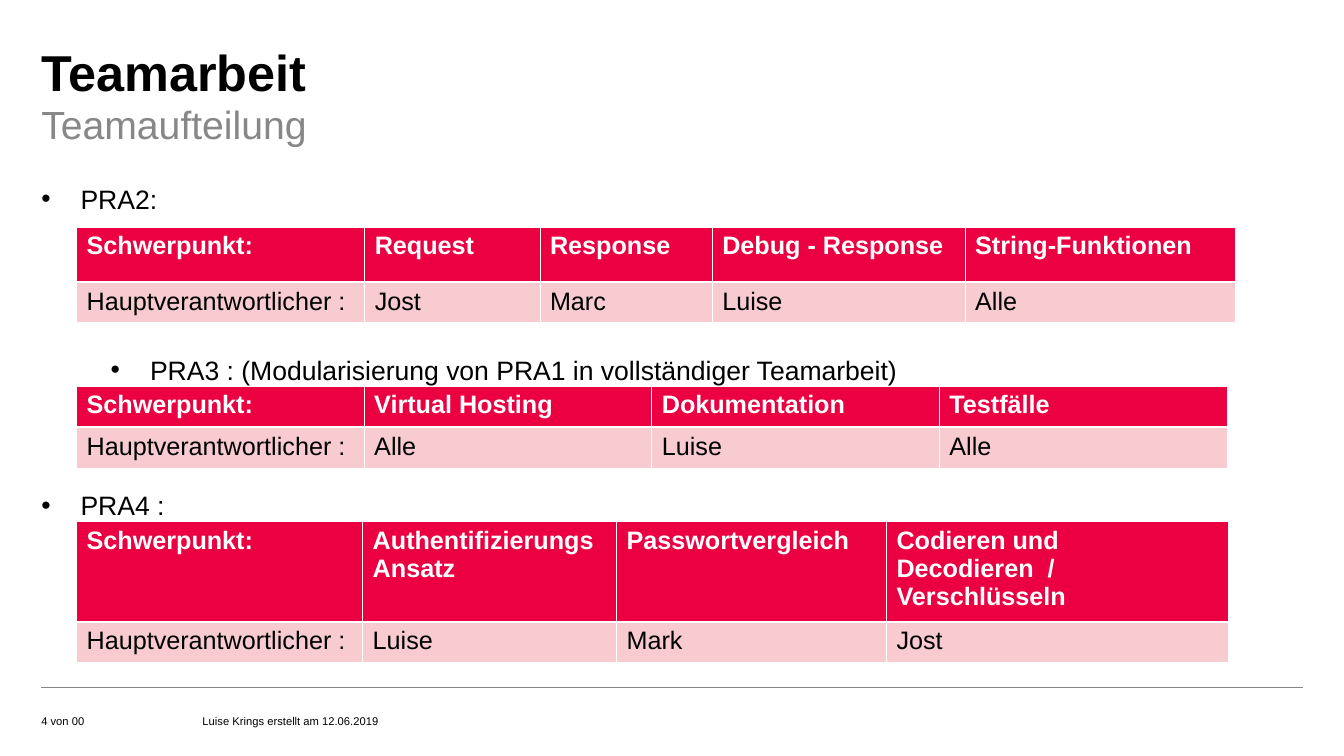
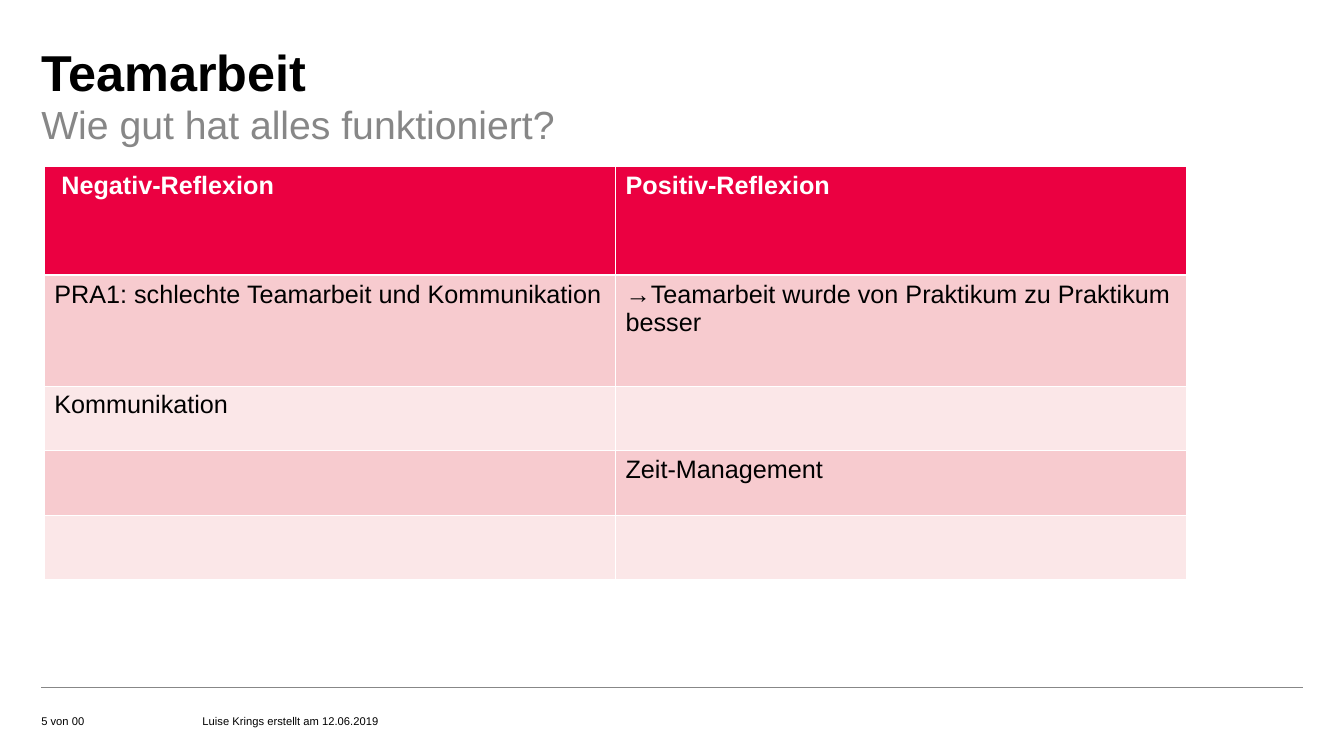
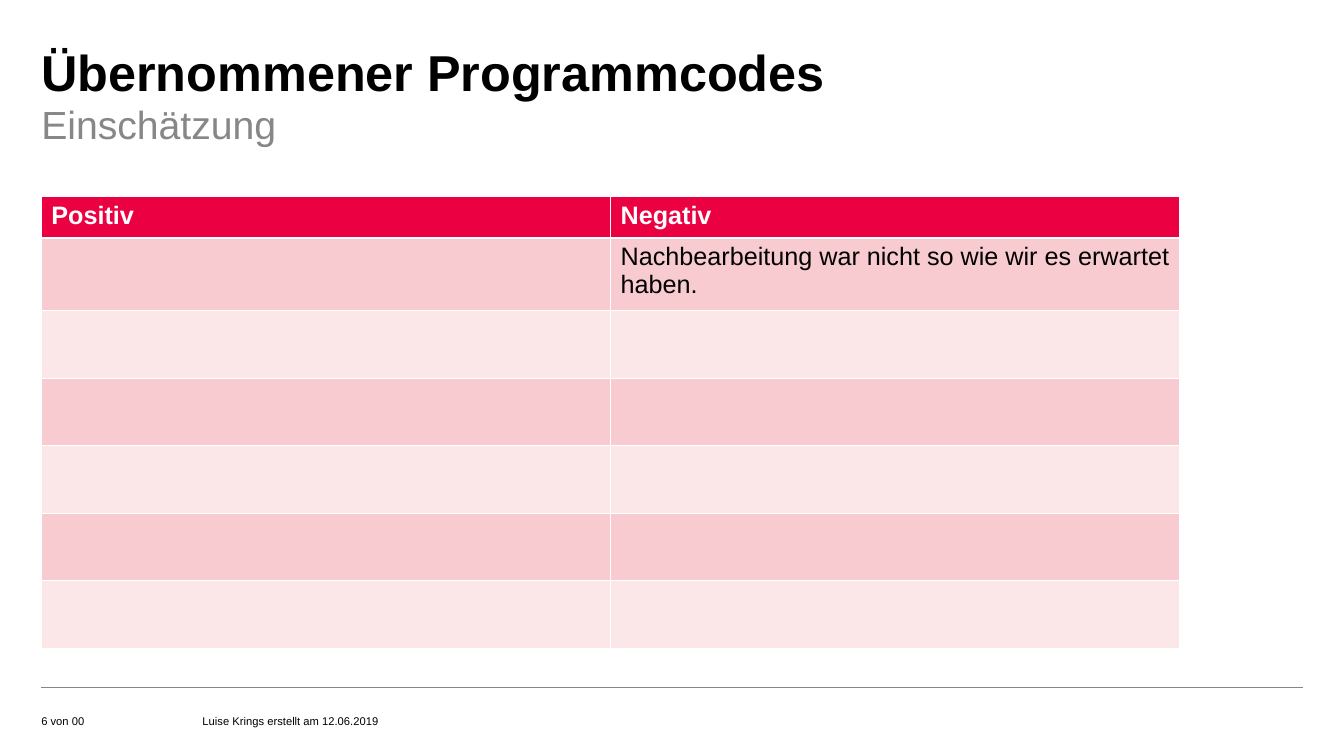
from dataclasses import dataclass

from lxml import etree
from pptx import Presentation
from pptx.dml.color import RGBColor
from pptx.enum import shapes, text
from pptx.oxml import ns
from pptx.util import Inches, Pt


@dataclass(frozen=True)
class Theme:
    font: str = "Arial"
    black: str = "000000"
    grey: str = "878787"
    white: str = "FFFFFF"
    red: str = "EB0041"
    bands: tuple = ("F7CBCF", "FBE7E8")
    title: int = 36
    subtitle: int = 28
    bullet: int = 19
    cell: int = 18
    footer: int = 8
    thin: float = 0.45
    thick: float = 1.47


theme = Theme()
LEFT = 0.41
LEAD = "Hauptverantwortlicher :"

# Each table: left, top, column widths, row heights, rows of text
slides = [
    ("Teamarbeit", "Teamaufteilung", [
        (0.76, 2.25, [2.86, 1.74, 1.71, 2.51, 2.68], [0.55, 0.4], [
            ["Schwerpunkt:", "Request", "Response", "Debug - Response", "String-Funktionen"],
            [LEAD, "Jost", "Marc", "Luise", "Alle"]]),
        (0.76, 3.83, [2.855] * 4, [0.41] * 2, [
            ["Schwerpunkt:", "Virtual Hosting", "Dokumentation", "Testfälle"],
            [LEAD, "Alle", "Luise", "Alle"]]),
        (0.76, 5.17, [2.84, 2.52, 2.68, 3.39], [1, 0.4], [
            ["Schwerpunkt:", "Authentifizierungs Ansatz", "Passwortvergleich",
             "Codieren und\vDecodieren  /\vVerschlüsseln"],
            [LEAD, "Luise", "Mark", "Jost"]]),
    ]),
    ("Teamarbeit", "Wie gut hat alles funktioniert?", [
        (0.44, 1.65, [5.67] * 2, [1.08, 1.1] + [0.64] * 3, [
            [" Negativ-Reflexion", "Positiv-Reflexion"],
            ["PRA1: schlechte Teamarbeit und Kommunikation",
             "→Teamarbeit wurde von Praktikum zu Praktikum besser"],
            ["Kommunikation", ""],
            ["", "Zeit-Management"],
            ["", ""]]),
    ]),
    ("Übernommener Programmcodes", "Einschätzung", [
        (LEFT, 1.95, [5.65] * 2, [0.41, 0.72] + [0.67] * 5, [
            ["Positiv", "Negativ"],
            ["", "Nachbearbeitung war nicht so wie wir es erwartet haben."],
            *[["", ""]] * 5]),
    ]),
]

# Outline of the first slide: text, indent, space before in points
outline = [
    ("PRA2:", 0.39, 0),
    ("PRA3 : (Modularisierung von PRA1 in vollständiger Teamarbeit)", 1.08, 97),
    ("PRA4 :", 0.39, 72),
]


def style(paragraph, size, color, bold=False):
    font = paragraph.font
    font.name, font.size, font.bold = theme.font, Pt(size), bold
    font.color.rgb = RGBColor.from_string(color)


def add_text(slide, box, lines, size, color, bold=False, spacing=1.0,
             anchor=text.MSO_ANCHOR.TOP):
    frame = slide.shapes.add_textbox(*map(Inches, box)).text_frame
    frame.word_wrap = True
    frame.vertical_anchor = anchor
    frame.margin_left = frame.margin_top = frame.margin_right = frame.margin_bottom = 0
    frame.text = "\n".join(lines)
    for paragraph in frame.paragraphs:
        paragraph.line_spacing = spacing
        style(paragraph, size, color, bold)
    return frame


prs = Presentation()
prs.slide_width, prs.slide_height = Inches(13.34), Inches(7.5)

for number, (title, subtitle, tables) in enumerate(slides, start=4):
    slide = prs.slides.add_slide(prs.slide_layouts[6])

    # Footer rule and footer
    rule = slide.shapes.add_connector(shapes.MSO_CONNECTOR.STRAIGHT, Inches(LEFT),
                                      Inches(6.82), Inches(12.93), Inches(6.82))
    rule.line.color.rgb = RGBColor.from_string(theme.grey)
    rule.line.width = Pt(0.5)
    etree.SubElement(rule._element.spPr, ns.qn("a:effectLst"))
    for left, width, note in [(LEFT, 1.57, f"{number} von 00"),
                              (2.01, 10.24, "Luise Krings erstellt am 12.06.2019")]:
        add_text(slide, (left, 6.9, width, 0.32), [note], theme.footer, theme.black,
                 anchor=text.MSO_ANCHOR.BOTTOM)

    # Title and subtitle
    add_text(slide, (LEFT, 0.41, 9.65, 0.62), [title], theme.title, theme.black, bold=True)
    add_text(slide, (LEFT, 0.95, 9.65, 0.55), [subtitle], theme.subtitle, theme.grey,
             spacing=1.1)

    # Bulleted outline between the tables of the first slide
    if number == 4:
        body = add_text(slide, (LEFT, 1.78, 11.14, 4.4), [item[0] for item in outline],
                        theme.bullet, theme.black, spacing=1.1)
        for paragraph, (_, indent, gap) in zip(body.paragraphs, outline):
            paragraph.space_before = Pt(gap)
            props = paragraph._p.get_or_add_pPr()
            props.set("marL", str(Inches(indent)))
            props.set("indent", str(Inches(-0.39)))
            etree.SubElement(props, ns.qn("a:buFont")).set("typeface", theme.font)
            etree.SubElement(props, ns.qn("a:buChar")).set("char", "•")
            props.append(props.find(ns.qn("a:defRPr")))

    # Tables
    for left, top, widths, heights, rows in tables:
        table = slide.shapes.add_table(
            len(rows), len(widths), Inches(left), Inches(top),
            Inches(sum(widths)), Inches(sum(heights))).table
        table.horz_banding = False
        for column, width in zip(table.columns, widths):
            column.width = Inches(width)
        for r, (height, row) in enumerate(zip(heights, rows)):
            table.rows[r].height = Inches(height)
            header = r == 0
            for c, words in enumerate(row):
                cell = table.cell(r, c)
                cell.text = words
                for paragraph in cell.text_frame.paragraphs:
                    style(paragraph, theme.cell, theme.white if header else theme.black, header)
                # White borders, thicker below the header
                props = cell._tc.get_or_add_tcPr()
                for side in "LRTB":
                    thick = (side, r) in (("B", 0), ("T", 1))
                    border = etree.SubElement(props, ns.qn(f"a:ln{side}"))
                    border.set("w", str(Pt(theme.thick if thick else theme.thin)))
                    paint = etree.SubElement(border, ns.qn("a:solidFill"))
                    etree.SubElement(paint, ns.qn("a:srgbClr")).set("val", theme.white)
                cell.fill.solid()
                cell.fill.fore_color.rgb = RGBColor.from_string(
                    theme.red if header else theme.bands[(r - 1) % 2])

prs.save("out.pptx")
